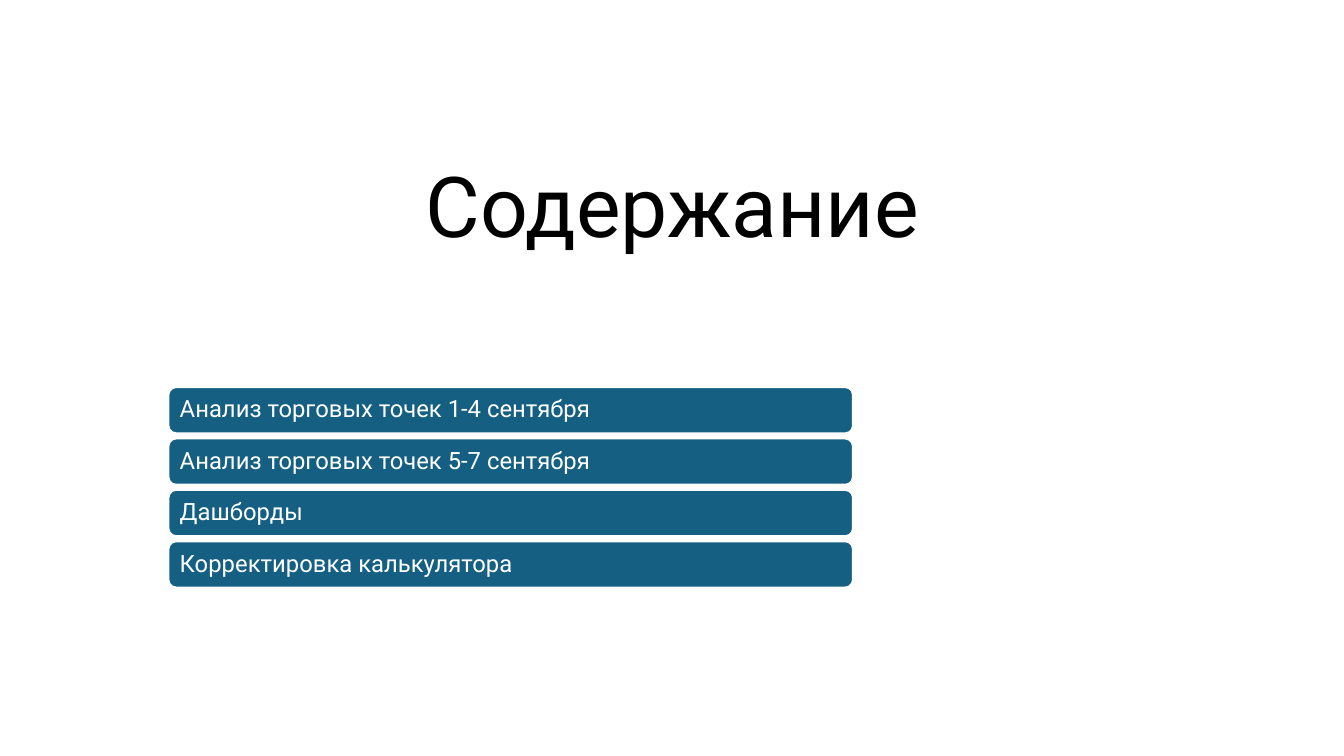
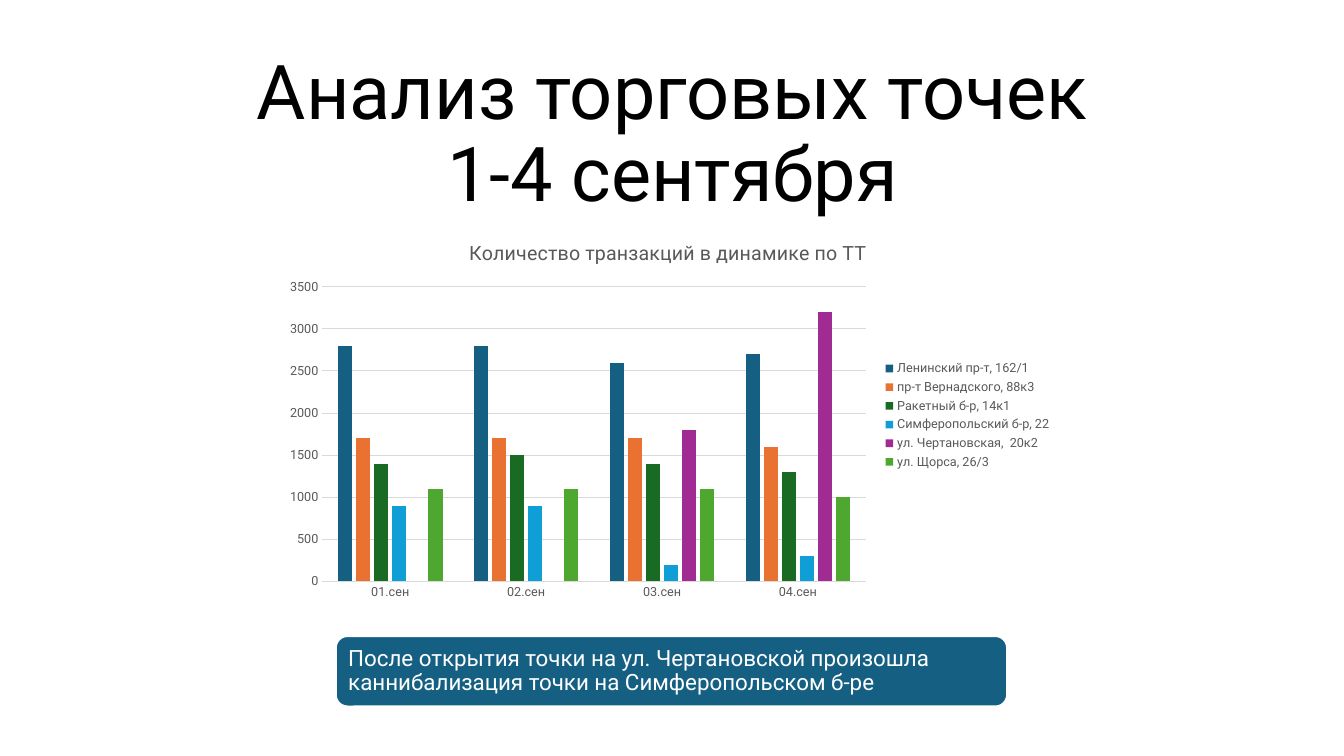
from dataclasses import dataclass

from pptx import Presentation
from pptx.chart.data import CategoryChartData
from pptx.dml.color import RGBColor
from pptx.enum.chart import XL_CHART_TYPE as ChartType
from pptx.enum.chart import XL_LEGEND_POSITION as LegendPosition
from pptx.enum.chart import XL_TICK_MARK as TickMark
from pptx.enum.shapes import MSO_SHAPE as Shape
from pptx.enum.text import MSO_ANCHOR as Anchor
from pptx.enum.text import PP_ALIGN as Align
from pptx.util import Inches, Pt


@dataclass(frozen=True)
class Theme:
    font: str = "Roboto"
    ink: str = "000000"
    paper: str = "FFFFFF"
    band: str = "156082"
    chart_text: str = "595959"
    grid: str = "D9D9D9"
    contents_title: int = 60
    analysis_title: int = 54
    agenda: int = 17
    conclusion: int = 16
    chart_title: int = 14
    chart_label: int = 9
    band_line: float = 1.5
    grid_line: float = 0.75


THEME = Theme()

# Content
CONTENTS_TITLE = "Содержание"
AGENDA = [
    "Анализ торговых точек 1-4 сентября",
    "Анализ торговых точек 5-7 сентября",
    "Дашборды",
    "Корректировка калькулятора",
]
ANALYSIS_TITLE = AGENDA[0]
CHART_TITLE = "Количество транзакций в динамике по ТТ"
DAYS = ["01.сен", "02.сен", "03.сен", "04.сен"]
STORES = [
    ("Ленинский пр-т, 162/1", "156082", (2800, 2800, 2600, 2700)),
    ("пр-т Вернадского, 88к3", "E97132", (1700, 1700, 1700, 1600)),
    ("Ракетный б-р, 14к1", "196B24", (1400, 1500, 1400, 1300)),
    ("Симферопольский б-р, 22", "0F9ED5", (900, 900, 200, 300)),
    ("ул. Чертановская,  20к2", "A02B93", (None, None, 1800, 3200)),
    ("ул. Щорса, 26/3", "4EA72E", (1100, 1100, 1100, 1000)),
]
CONCLUSION = (
    "После открытия точки на ул. Чертановской произошла "
    "каннибализация точки на Симферопольском б-ре"
)

# Layout in inches: left, top, width, height
CONTENTS_TITLE_BOX = (1.67, 0.59, 10, 2)
ANALYSIS_TITLE_BOX = (2.05, 0.84, 9.24, 1.37)
CHART_BOX = (2.72, 2.21, 7.81, 3.82)
CONCLUSION_BOX = (3.33, 6.31, 6.66, 0.7)
AGENDA_LEFT, AGENDA_TOP, AGENDA_WIDTH, AGENDA_HEIGHT = 1.67, 3.84, 6.79, 0.46
AGENDA_STEP = 0.51
BAND_INSET = 0.09


def inches(box):
    return [Inches(length) for length in box]


def style_font(font, size, color):
    font.name = THEME.font
    font.size = Pt(size)
    font.bold = False
    font.color.rgb = RGBColor.from_string(color)


def write(frame, text, *, size, color, align=Align.LEFT, anchor=Anchor.MIDDLE):
    frame.word_wrap = True
    frame.vertical_anchor = anchor
    paragraph = frame.paragraphs[0]
    paragraph.text = text
    paragraph.alignment = align
    paragraph.line_spacing = 0.9
    style_font(paragraph.runs[0].font, size, color)


def add_title(slide, text, box, size):
    title = slide.shapes.add_textbox(*inches(box))
    write(title.text_frame, text, size=size, color=THEME.ink,
          align=Align.CENTER, anchor=Anchor.BOTTOM)


def add_band(slide, text, box, size):
    band = slide.shapes.add_shape(Shape.ROUNDED_RECTANGLE, *inches(box))
    band.shadow.inherit = False
    band.fill.solid()
    band.fill.fore_color.rgb = RGBColor.from_string(THEME.band)
    band.line.color.rgb = RGBColor.from_string(THEME.paper)
    band.line.width = Pt(THEME.band_line)
    frame = band.text_frame
    frame.margin_left = frame.margin_right = Inches(BAND_INSET)
    write(frame, text, size=size, color=THEME.paper)


def style_grid_line(line):
    line.color.rgb = RGBColor.from_string(THEME.grid)
    line.width = Pt(THEME.grid_line)


def add_store_chart(slide):
    data = CategoryChartData()
    data.categories = DAYS
    for name, _, transactions in STORES:
        data.add_series(name, transactions)
    chart = slide.shapes.add_chart(
        ChartType.COLUMN_CLUSTERED, *inches(CHART_BOX), data).chart
    style_font(chart.font, THEME.chart_label, THEME.chart_text)

    # Title and legend
    heading = chart.chart_title.text_frame
    heading.text = CHART_TITLE
    style_font(heading.paragraphs[0].runs[0].font,
               THEME.chart_title, THEME.chart_text)
    chart.has_legend = True
    chart.legend.position = LegendPosition.RIGHT
    chart.legend.include_in_layout = False
    style_font(chart.legend.font, THEME.chart_label, THEME.chart_text)

    # Axes
    for axis in (chart.category_axis, chart.value_axis):
        axis.major_tick_mark = axis.minor_tick_mark = TickMark.NONE
        style_font(axis.tick_labels.font, THEME.chart_label, THEME.chart_text)
    style_grid_line(chart.category_axis.format.line)
    chart.value_axis.format.line.fill.background()
    style_grid_line(chart.value_axis.major_gridlines.format.line)

    # Columns
    plot = chart.plots[0]
    plot.gap_width = 219
    plot.overlap = -27
    plot.vary_by_categories = False
    for series, (_, color, _) in zip(plot.series, STORES):
        series.invert_if_negative = False
        series.format.fill.solid()
        series.format.fill.fore_color.rgb = RGBColor.from_string(color)


def build_contents(slide):
    add_title(slide, CONTENTS_TITLE, CONTENTS_TITLE_BOX, THEME.contents_title)
    for row, topic in enumerate(AGENDA):
        top = AGENDA_TOP + row * AGENDA_STEP
        box = (AGENDA_LEFT, top, AGENDA_WIDTH, AGENDA_HEIGHT)
        add_band(slide, topic, box, THEME.agenda)


def build_analysis(slide):
    add_title(slide, ANALYSIS_TITLE, ANALYSIS_TITLE_BOX, THEME.analysis_title)
    add_store_chart(slide)
    add_band(slide, CONCLUSION, CONCLUSION_BOX, THEME.conclusion)


def main():
    deck = Presentation()
    deck.slide_width, deck.slide_height = Inches(13.33), Inches(7.5)
    blank = deck.slide_layouts[6]
    for build in (build_contents, build_analysis):
        build(deck.slides.add_slide(blank))
    deck.save("out.pptx")


if __name__ == "__main__":
    main()
